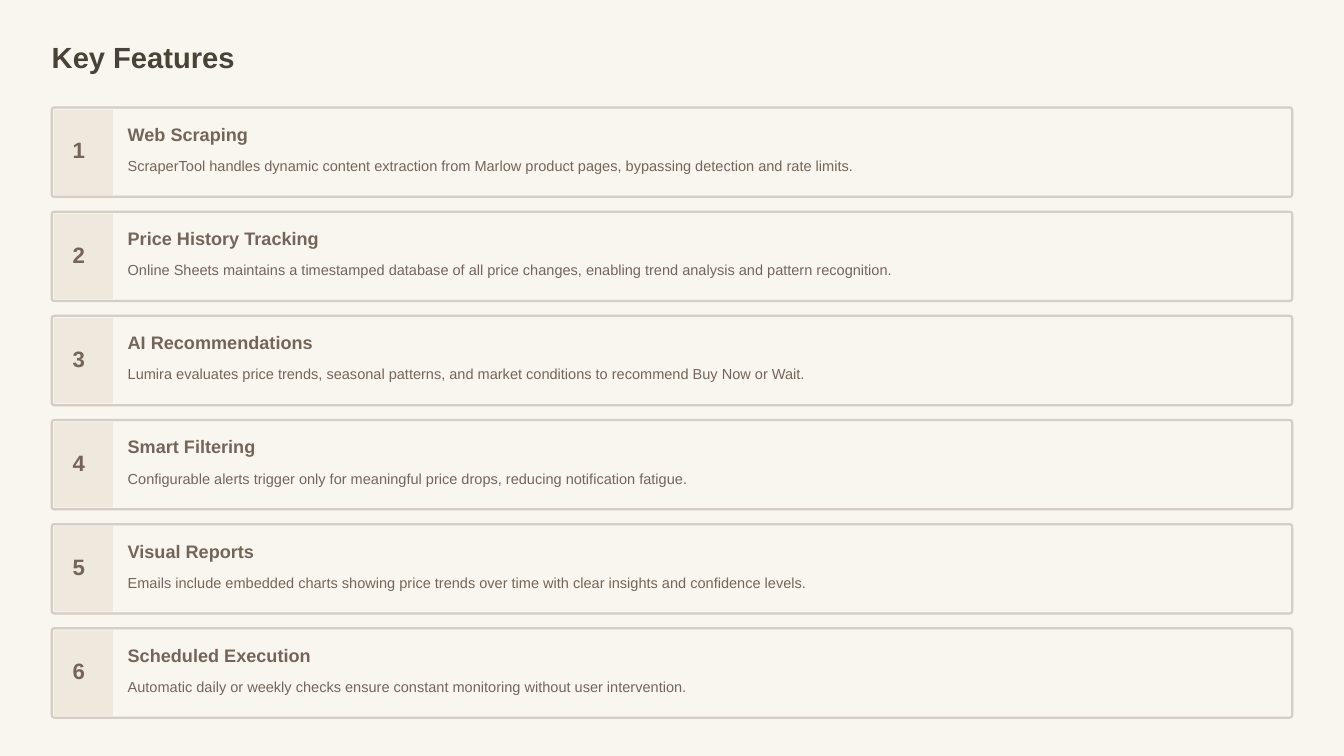
"""Build the Key Features slide: a title above six numbered feature cards."""
from pptx import Presentation
from pptx import util as u
from pptx.dml.color import RGBColor
from pptx.enum import shapes, text

CREAM = RGBColor(0xF9, 0xF6, 0xF0)
SAND = RGBColor(0xEE, 0xE8, 0xDD)
BORDER = RGBColor(0xD4, 0xCE, 0xC3)
DARK = RGBColor(0x48, 0x42, 0x37)
BROWN = RGBColor(0x74, 0x65, 0x58)

FEATURES = [
    ("Web Scraping",
     "ScraperTool handles dynamic content extraction from Marlow product pages, bypassing detection and rate limits."),
    ("Price History Tracking",
     "Online Sheets maintains a timestamped database of all price changes, enabling trend analysis and pattern recognition."),
    ("AI Recommendations",
     "Lumira evaluates price trends, seasonal patterns, and market conditions to recommend Buy Now or Wait."),
    ("Smart Filtering",
     "Configurable alerts trigger only for meaningful price drops, reducing notification fatigue."),
    ("Visual Reports",
     "Emails include embedded charts showing price trends over time with clear insights and confidence levels."),
    ("Scheduled Execution",
     "Automatic daily or weekly checks ensure constant monitoring without user intervention."),
]
FIRST_TOP = 1.6
PITCH = 1.55


def write(box, words, size, leading, color, bold=True):
    frame = box.text_frame
    frame.margin_left = frame.margin_right = frame.margin_top = frame.margin_bottom = 0
    frame.word_wrap = True
    frame.auto_size = text.MSO_AUTO_SIZE.NONE
    frame.vertical_anchor = text.MSO_ANCHOR.TOP
    para = frame.paragraphs[0]
    para.text = words
    para.alignment = text.PP_ALIGN.LEFT
    para.line_spacing = u.Pt(leading)
    para.font.name = "Arial"
    para.font.size = u.Pt(size)
    para.font.bold = bold
    para.font.color.rgb = color


def add_block(page, preset, left, top, width, height, color):
    block = page.shapes.add_shape(
        preset, u.Inches(left), u.Inches(top), u.Inches(width), u.Inches(height))
    block.shadow.inherit = False
    block.fill.solid()
    block.fill.fore_color.rgb = color
    block.line.fill.background()
    return block


deck = Presentation()
deck.slide_width = u.Inches(20)
deck.slide_height = u.Inches(11.25)
page = deck.slides.add_slide(deck.slide_layouts[5])
page.background.fill.solid()
page.background.fill.fore_color.rgb = CREAM

title = page.shapes.title
title.left, title.top = u.Inches(0.77), u.Inches(0.56)
title.width, title.height = u.Inches(4.4), u.Inches(0.59)
write(title, "Key Features", 31.2, 39.4, DARK)

for index, (heading, detail) in enumerate(FEATURES):
    top = FIRST_TOP + index * PITCH

    card = add_block(page, shapes.MSO_SHAPE.ROUNDED_RECTANGLE, 0.77, top, 18.46, 1.33, CREAM)
    card.adjustments[0] = 0.03
    card.line.color.rgb = BORDER
    card.line.width = u.Pt(2.4)
    add_block(page, shapes.MSO_SHAPE.RECTANGLE, 0.8, top + 0.03, 0.88, 1.27, SAND)

    for words, left, drop, width, height, size, leading, bold in [
        (str(index + 1), 1.08, 0.5, 0.33, 0.37, 23.8, 23.8, True),
        (heading, 1.9, 0.22, 3.07, 0.38, 19.4, 24.4, True),
        (detail, 1.9, 0.65, 17.08, 0.43, 15.6, 25, False),
    ]:
        box = page.shapes.add_textbox(
            u.Inches(left), u.Inches(top + drop), u.Inches(width), u.Inches(height))
        write(box, words, size, leading, BROWN, bold)

deck.save("out.pptx")
